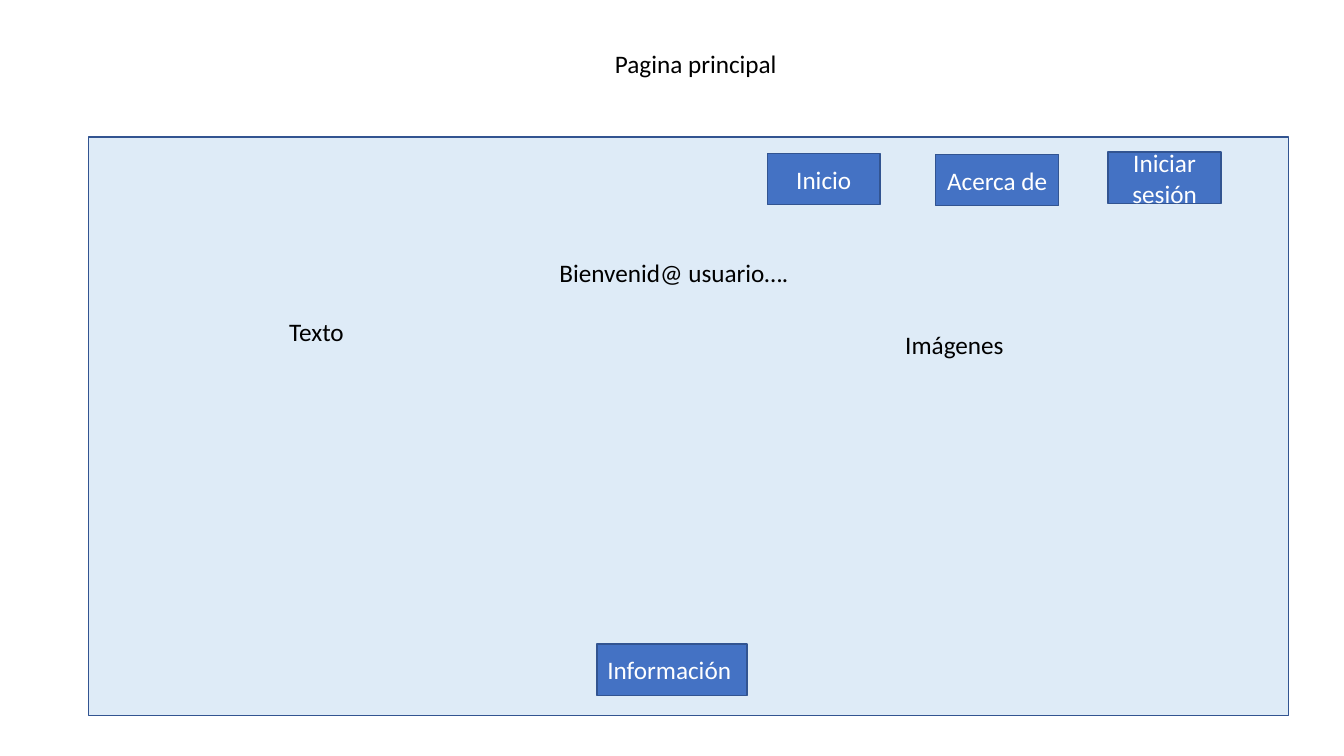
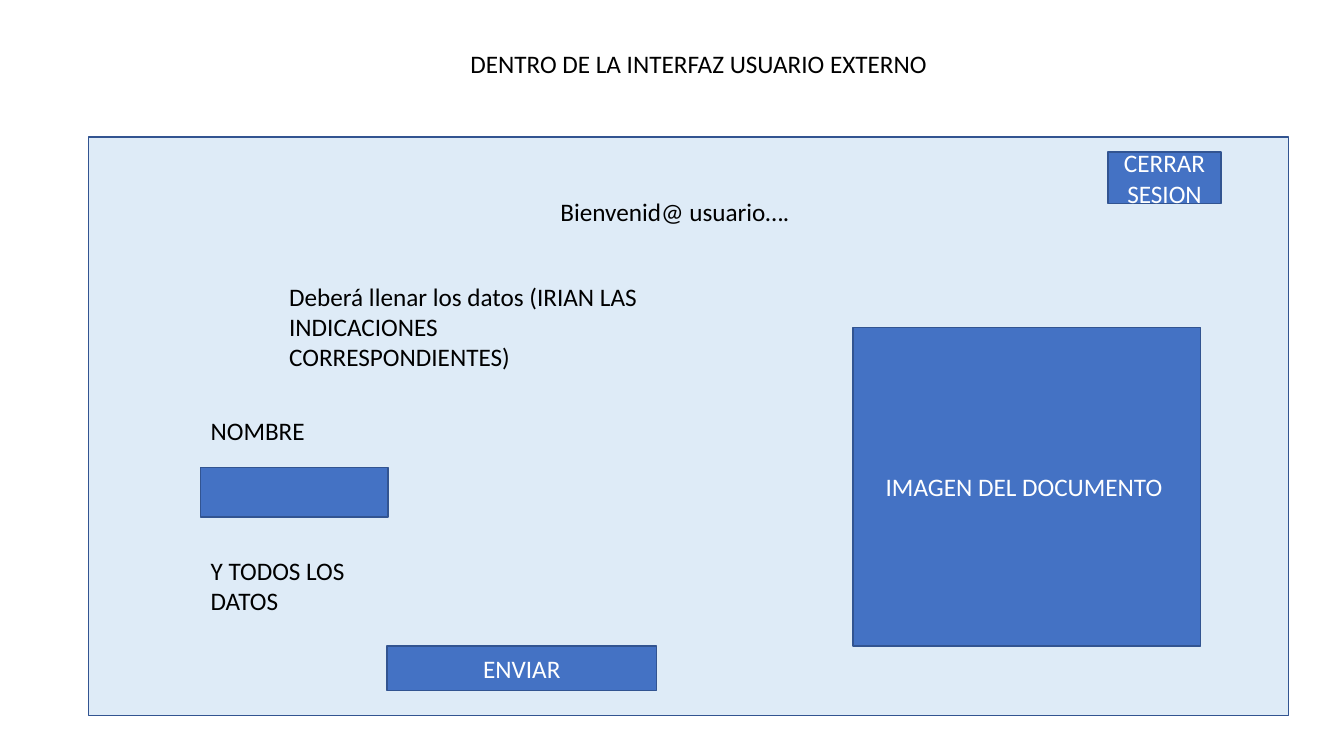
from dataclasses import dataclass

from pptx import Presentation
from pptx import util as u
from pptx.dml.color import RGBColor
from pptx.enum import shapes, text


@dataclass(frozen=True)
class Theme:
    font: str = "Calibri"
    size: int = 18
    ink: str = "000000"
    light: str = "FFFFFF"
    panel: str = "DEEBF7"
    button: str = "4472C4"
    outline: str = "325491"
    outline_width: int = 1


THEME = Theme()
TITLE_AREA = (4.2, 0.43, 5.46, 0.4)
PANEL_AREA = (0.88, 1.36, 11.9, 5.74)
SESSION_AREA = (10.99, 1.51, 1.12, 0.51)


def apply_format(target, values):
    for name, value in values.items():
        setattr(target, name, value)


def write_text(box, wording, color, align, anchor):
    frame = box.text_frame
    apply_format(frame, {"word_wrap": True, "vertical_anchor": anchor})
    para = frame.paragraphs[0]
    para.alignment = align
    span = para.add_run()
    span.text = wording
    apply_format(span.font, {"name": THEME.font, "size": u.Pt(THEME.size)})
    span.font.color.rgb = RGBColor.from_string(color)


def add_rectangle(page, area, fill, wording=""):
    box = page.shapes.add_shape(shapes.MSO_SHAPE.RECTANGLE, *map(u.Inches, area))
    box.shadow.inherit = False
    box.fill.solid()
    box.fill.fore_color.rgb = RGBColor.from_string(fill)
    box.line.color.rgb = RGBColor.from_string(THEME.outline)
    box.line.width = u.Pt(THEME.outline_width)
    if wording:
        write_text(box, wording, THEME.light, text.PP_ALIGN.CENTER, text.MSO_ANCHOR.MIDDLE)


def add_button(page, wording, *area):
    add_rectangle(page, area, THEME.button, wording)


def add_label(page, wording, *area, align=text.PP_ALIGN.LEFT):
    box = page.shapes.add_textbox(*map(u.Inches, area))
    write_text(box, wording, THEME.ink, align, text.MSO_ANCHOR.TOP)
    box.text_frame.auto_size = text.MSO_AUTO_SIZE.SHAPE_TO_FIT_TEXT


def add_screen(deck, title, session_action):
    page = deck.slides.add_slide(deck.slide_layouts[6])
    add_rectangle(page, PANEL_AREA, THEME.panel)
    add_label(page, title, *TITLE_AREA, align=text.PP_ALIGN.CENTER)
    add_button(page, session_action, *SESSION_AREA)
    return page


def build_home(deck):
    page = add_screen(deck, "Pagina principal ", "Iniciar sesión")
    add_button(page, "Inicio", 7.61, 1.52, 1.12, 0.51)
    add_button(page, "Acerca de", 9.28, 1.53, 1.22, 0.51)
    add_button(page, "Información ", 5.92, 6.39, 1.49, 0.51)
    add_label(page, "Bienvenid@ usuario….", 5.45, 2.5, 4.65, 0.71)
    add_label(page, "Texto", 2.77, 3.09, 3.9, 0.4)
    add_label(page, "Imágenes", 8.88, 3.22, 3.22, 0.4)


def build_external_user(deck):
    page = add_screen(deck, "DENTRO DE LA INTERFAZ USUARIO EXTERNO", "CERRAR SESION")
    add_label(page, "Bienvenid@ usuario….", 5.46, 1.9, 4.65, 0.71)
    add_label(
        page,
        "Deberá llenar los datos (IRIAN LAS INDICACIONES CORRESPONDIENTES)",
        2.77, 2.74, 3.9, 1.01,
    )
    add_button(page, "IMAGEN DEL DOCUMENTO ", 8.46, 3.25, 3.45, 3.16)
    add_label(page, "NOMBRE", 1.99, 4.07, 1.81, 0.4)
    add_button(page, "", 1.99, 4.64, 1.86, 0.49)
    add_label(page, "Y TODOS LOS DATOS", 1.99, 5.46, 2.22, 0.71)
    add_button(page, "ENVIAR", 3.84, 6.41, 2.67, 0.44)


def main():
    deck = Presentation()
    apply_format(deck, {"slide_width": u.Inches(13.33), "slide_height": u.Inches(7.5)})
    build_home(deck)
    build_external_user(deck)
    deck.save("out.pptx")


if __name__ == "__main__":
    main()
